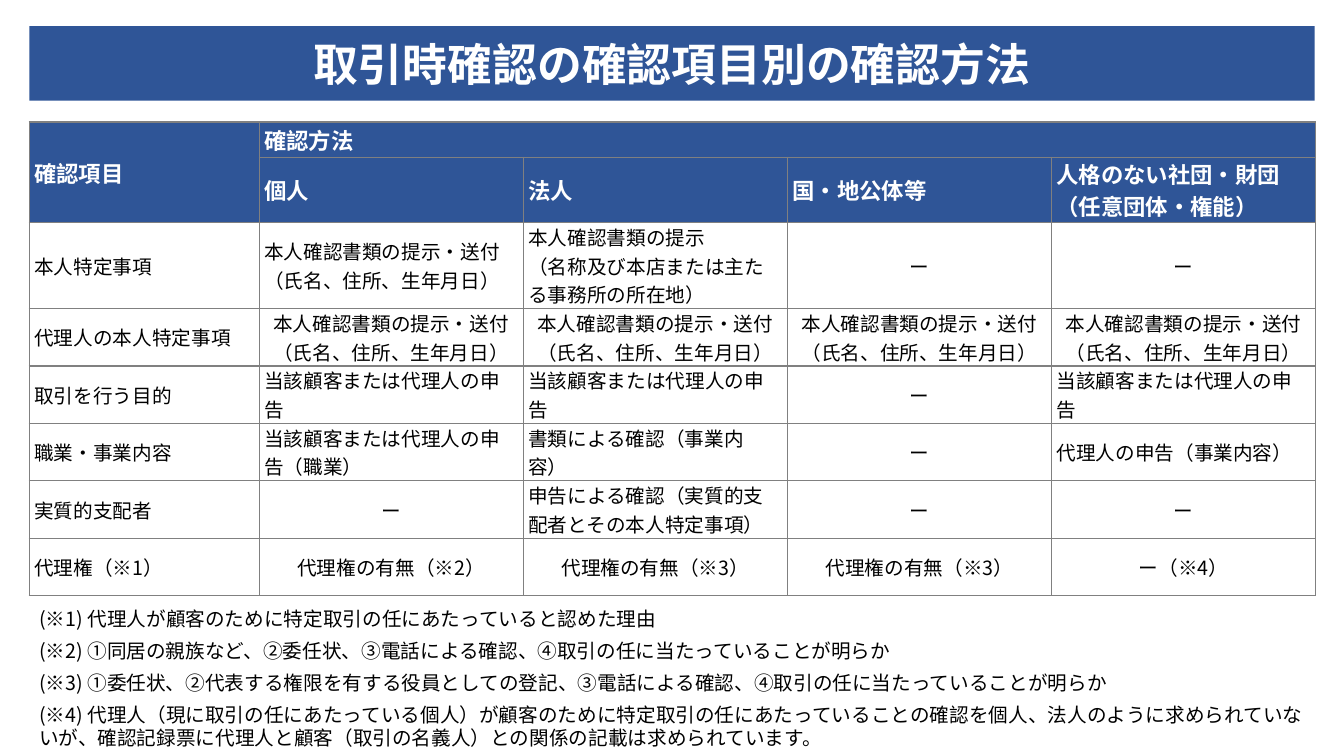
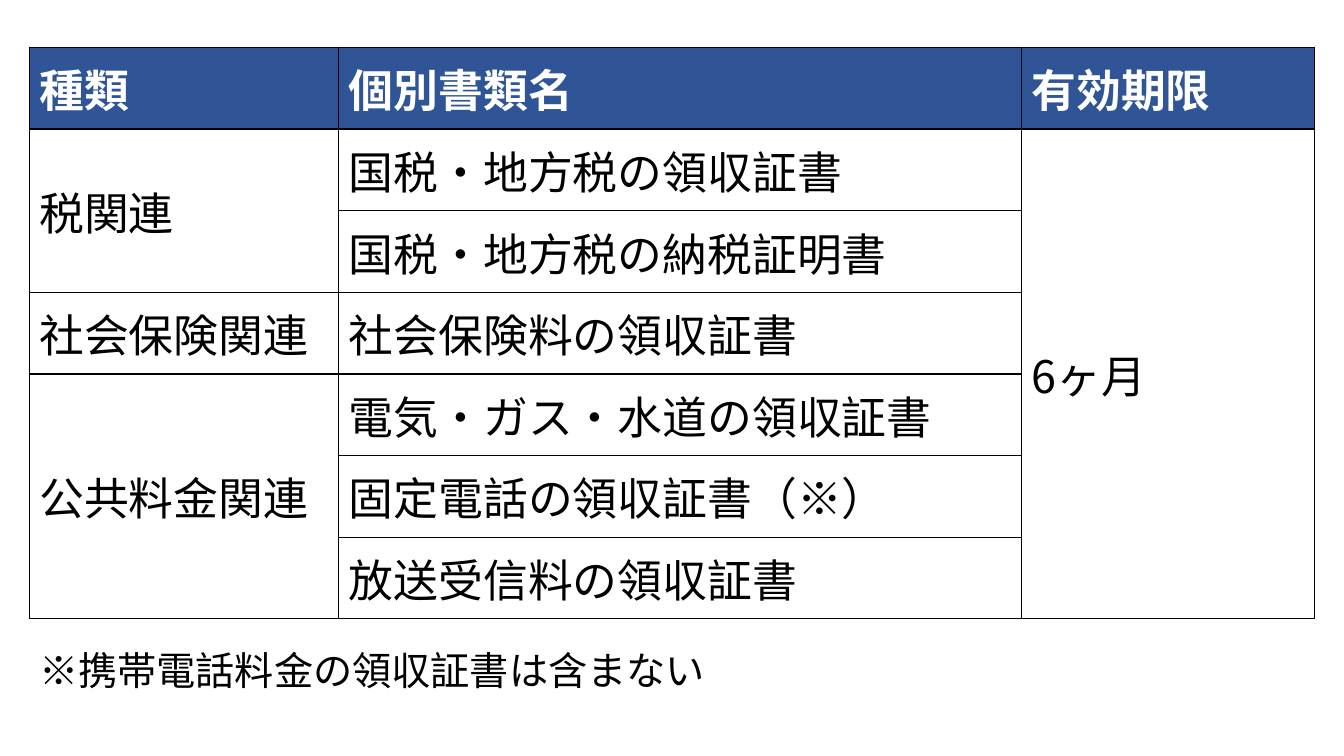
from lxml.etree import SubElement
from pptx import Presentation
from pptx.dml.color import RGBColor
from pptx.enum.shapes import MSO_SHAPE
from pptx.enum.text import MSO_ANCHOR, MSO_AUTO_SIZE, PP_ALIGN
from pptx.oxml.ns import qn
from pptx.util import Inches, Pt

NAVY = RGBColor(0x2F, 0x55, 0x97)
WHITE = RGBColor(0xFF, 0xFF, 0xFF)
BLACK = RGBColor(0, 0, 0)
GRAY = RGBColor(0x80, 0x80, 0x80)
FONT = "Noto Sans CJK JP"
LEFT, WIDTH = 0.29, 12.75

DASH = "ー"
PAPERS = "本人確認書類の提示・送付\n（氏名、住所、生年月日）"
CLAIM = "当該顧客または代理人の申告"
CHECKS = [
    ["確認項目", "確認方法", "", "", ""],
    ["", "個人", "法人", "国・地公体等", "人格のない社団・財団\n（任意団体・権能）"],
    ["本人特定事項", PAPERS,
     "本人確認書類の提示\n（名称及び本店または主たる事務所の所在地）", DASH, DASH],
    ["代理人の本人特定事項"] + [PAPERS] * 4,
    ["取引を行う目的", CLAIM, CLAIM, DASH, CLAIM],
    ["職業・事業内容", CLAIM + "（職業）", "書類による確認（事業内容）", DASH,
     "代理人の申告（事業内容）"],
    ["実質的支配者", DASH, "申告による確認（実質的支配者とその本人特定事項）", DASH, DASH],
    ["代理権（※1）", "代理権の有無（※2）", "代理権の有無（※3）", "代理権の有無（※3）",
     "ー（※4）"],
]
MID_ROWS = (3, 7)
NOTES = [
    "(※1) 代理人が顧客のために特定取引の任にあたっていると認めた理由",
    "(※2) ①同居の親族など、②委任状、③電話による確認、④取引の任に当たっていることが明らか",
    "(※3) ①委任状、②代表する権限を有する役員としての登記、③電話による確認、"
    "④取引の任に当たっていることが明らか",
    "(※4) 代理人（現に取引の任にあたっている個人）が顧客のために特定取引の任にあたっている"
    "ことの確認を個人、法人のように求められていないが、確認記録票に代理人と顧客（取引の名義人）"
    "との関係の記載は求められています。",
]
BILLS = [
    ["種類", "個別書類名", "有効期限"],
    ["税関連", "国税・地方税の領収証書", "6ヶ月"],
    ["", "国税・地方税の納税証明書", ""],
    ["社会保険関連", "社会保険料の領収証書", ""],
    ["公共料金関連", "電気・ガス・水道の領収証書", ""],
    ["", "固定電話の領収証書（※）", ""],
    ["", "放送受信料の領収証書", ""],
]


def style(para, size, color, bold=False, align=PP_ALIGN.LEFT):
    para.alignment = align
    font = para.font
    font.size, font.bold, font.name = Pt(size), bold, FONT
    font.color.rgb = color
    SubElement(para._p.pPr.find(qn("a:defRPr")), qn("a:ea"), typeface=FONT)


def border(cell, color):
    props = cell._tc.get_or_add_tcPr()
    for side in ("lnL", "lnR", "lnT", "lnB"):
        line = SubElement(props, qn("a:" + side), w=str(Pt(1)))
        fill = SubElement(line, qn("a:solidFill"))
        SubElement(fill, qn("a:srgbClr"), val=str(color))


def add_grid(slide, top, cols, rows, data, spans, heads, sizes, edge,
             inset=None, mid=()):
    frame = slide.shapes.add_table(
        len(rows), len(cols), Inches(LEFT), Inches(top),
        Inches(sum(cols)), Inches(sum(rows)))
    table = frame.table
    table.first_row = table.horz_banding = False
    for col, width in zip(table.columns, cols):
        col.width = Inches(width)
    for row, height in zip(table.rows, rows):
        row.height = Inches(height)
    for r, line in enumerate(data):
        head = r < heads
        for c, text in enumerate(line):
            cell = table.cell(r, c)
            border(cell, edge)
            if head:
                cell.fill.solid()
                cell.fill.fore_color.rgb = NAVY
            else:
                cell.fill.background()
            cell.vertical_anchor = MSO_ANCHOR.MIDDLE
            if inset:
                cell.margin_left = cell.margin_right = Inches(inset[0])
                cell.margin_top = cell.margin_bottom = Inches(inset[1])
            cell.text = text
            center = c > 0 and (r in mid or text == DASH)
            for para in cell.text_frame.paragraphs:
                style(para, sizes[0] if head else sizes[1],
                      WHITE if head else BLACK, head,
                      PP_ALIGN.CENTER if center else PP_ALIGN.LEFT)
    for r, c, down, over in spans:
        table.cell(r, c).merge(table.cell(r + down - 1, c + over - 1))


def add_title(slide, text, top, height):
    band = slide.shapes.add_shape(
        MSO_SHAPE.RECTANGLE, Inches(LEFT), Inches(top), Inches(WIDTH), Inches(height))
    band.shadow.inherit = False
    band.fill.solid()
    band.fill.fore_color.rgb = NAVY
    band.line.fill.background()
    frame = band.text_frame
    frame.vertical_anchor = MSO_ANCHOR.MIDDLE
    frame.text = text
    style(frame.paragraphs[0], 32, WHITE, True, PP_ALIGN.CENTER)


def add_notes(slide, lines, top, height, size):
    box = slide.shapes.add_textbox(
        Inches(LEFT), Inches(top), Inches(WIDTH), Inches(height))
    frame = box.text_frame
    frame.word_wrap = True
    frame.auto_size = MSO_AUTO_SIZE.SHAPE_TO_FIT_TEXT
    frame.text = "\n".join(lines)
    for para in frame.paragraphs:
        para.space_after = Pt(6)
        style(para, size, BLACK)


def check_slide(slide):
    add_grid(slide, 1.21, [2.28] + [2.62] * 4,
             [0.35, 0.65, 0.83] + [0.57] * 5, CHECKS,
             [(0, 0, 2, 1), (0, 1, 1, 4)], 2, (16, 14), GRAY, (0.05, 0), MID_ROWS)
    add_title(slide, "取引時確認の確認項目別の確認方法", 0.26, 0.74)
    add_notes(slide, NOTES, 5.97, 1.53, 14)


def bill_slide(slide):
    add_grid(slide, 0.47, [3.07, 6.77, 2.91], [0.81] * 7, BILLS,
             [(1, 0, 2, 1), (1, 2, 6, 1), (4, 0, 3, 1)], 1, (32, 32), BLACK)
    add_notes(slide, ["※携帯電話料金の領収証書は含まない"], 6.36, 0.57, 28)


def main():
    deck = Presentation()
    deck.slide_width, deck.slide_height = Inches(13.33), Inches(7.5)
    for build in (check_slide, bill_slide):
        build(deck.slides.add_slide(deck.slide_layouts[6]))
    deck.save("out.pptx")


if __name__ == "__main__":
    main()
